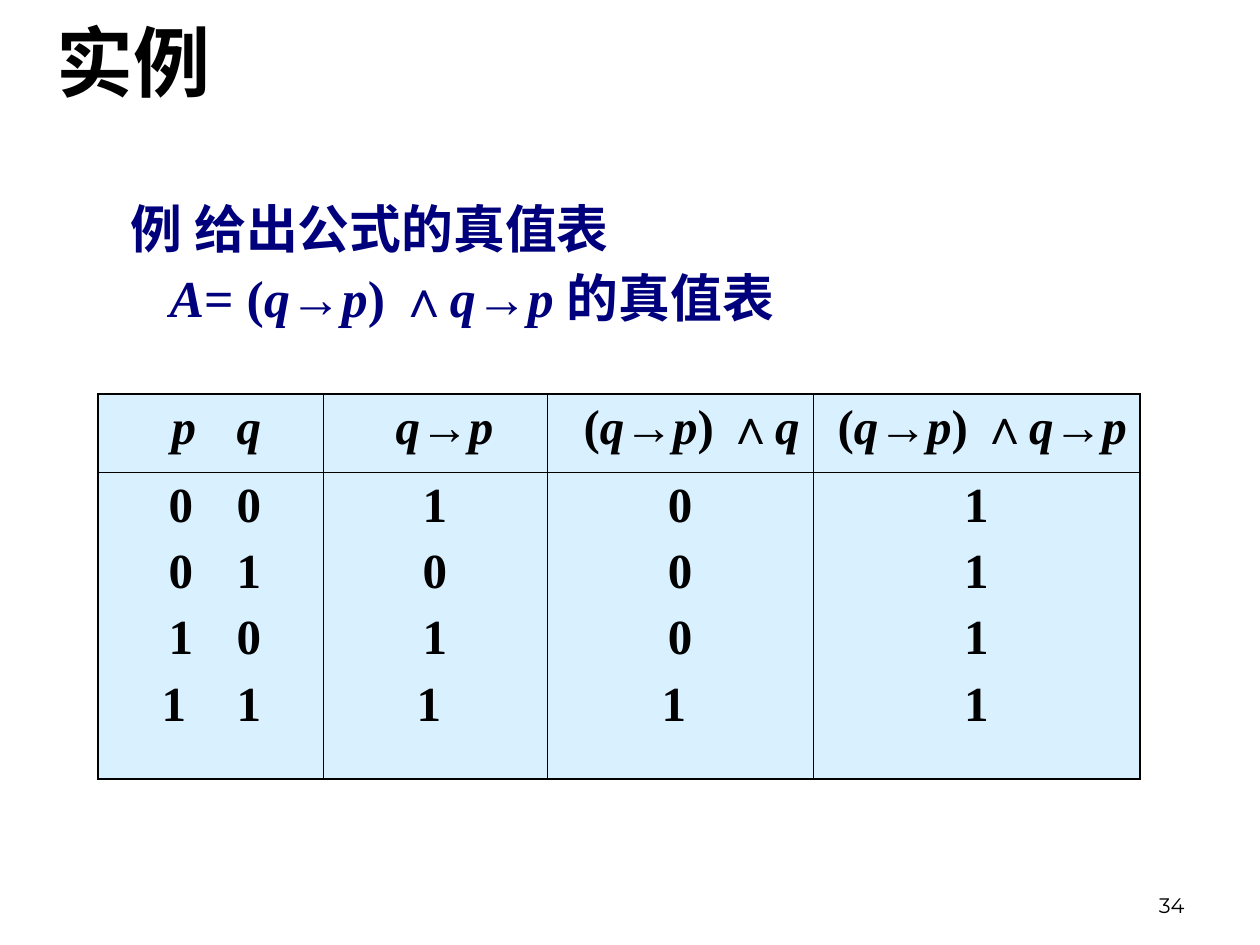
from itertools import groupby
from lxml.etree import SubElement
from pptx import Presentation
from pptx.dml.color import RGBColor
from pptx.enum.text import MSO_ANCHOR as Anchor, MSO_AUTO_SIZE as Fit, PP_ALIGN as Align
from pptx.oxml.ns import qn
from pptx.util import Pt

SCALE = 914400 / 126
BLACK = RGBColor(0, 0, 0)
NAVY = RGBColor(0, 0, 0x7D)
PALE = RGBColor(0xD9, 0xF1, 0xFF)
SERIF, SANS, HAN = "Times New Roman", "Arial", "Noto Sans CJK SC"

HEADS = [("p\tq", 61), ("q→p", 60), ("(q→p) ∧q", 24), ("(q→p) ∧q→p", 12)]
PAIRS = [("0\t0", 58), ("0\t1", 58), ("1\t0", 58), ("1\t1", 51)]
VALUES = [["1", "0", "1", "1 "], ["0", "0", "0", "1 "], ["1", "1", "1", "1"]]
GAP = 61  # from the first to the second variable


def px(num):
    return round(num * SCALE)


def kind(char):
    if char in "→∧":
        return "sign"
    return "var" if char.isascii() and char.isalpha() else "plain"


def write(frame, text, size=28, font=SERIF, color=BLACK, bold=True,
          align=Align.LEFT, before=0, line=None, left=0, start=0):
    """Add one paragraph; variables turn italic and signs sans."""
    para = frame.paragraphs[0]
    if para.runs:
        para = frame.add_paragraph()
    para.alignment = align
    para.space_before = Pt(before)
    if line:
        para.line_spacing = line
    props = para._p.get_or_add_pPr()
    props.set("marL", str(px(left)))
    props.set("indent", str(px(start - left)))
    SubElement(props, qn("a:buNone"))
    if "\t" in text:
        tabs = SubElement(props, qn("a:tabLst"))
        SubElement(tabs, qn("a:tab"), pos=str(px(start + GAP)), algn="l")
    for sort, chars in groupby(text, kind):
        run = para.add_run()
        run.text = "".join(chars)
        face = run.font
        face.size, face.bold, face.italic = Pt(size), bold, sort == "var"
        face.color.rgb = color
        face.name = SANS if sort == "sign" else font
        if sort != "sign":
            SubElement(run._r.get_or_add_rPr(), qn("a:ea"), typeface=HAN)


def place(shape, box, anchor):
    shape.left, shape.top, shape.width, shape.height = map(px, box)
    frame = shape.text_frame
    frame.word_wrap = True
    frame.auto_size = Fit.NONE
    frame.vertical_anchor = anchor
    return frame


def title(slide, box):
    frame = place(slide.shapes.title, box, Anchor.MIDDLE)
    write(frame, "实例", size=44, font=SANS)


def body(slide, box):
    frame = place(slide.placeholders[1], box, Anchor.TOP)
    style = dict(size=29.6, color=NAVY, line=0.9, left=48)
    write(frame, "例 给出公式的真值表", **style)
    write(frame, "A= (q→p) ∧q→p 的真值表", before=8, start=39, **style)


def border(cell, **widths):
    props = cell._tc.get_or_add_tcPr()
    for spot, (side, width) in enumerate(widths.items()):
        edge = SubElement(props, qn("a:" + side), w=str(Pt(width)))
        fill = SubElement(edge, qn("a:solidFill"))
        SubElement(fill, qn("a:srgbClr"), val=str(BLACK))
        props.insert(spot, edge)


def table(slide, box, cols, rows):
    grid = slide.shapes.add_table(len(rows), len(cols), *map(px, box)).table
    grid.first_row = grid.horz_banding = False
    for col, width in zip(grid.columns, cols):
        col.width = px(width)
    for row, height in zip(grid.rows, rows):
        row.height = px(height)
    # Headings
    for num, (text, start) in enumerate(HEADS):
        write(grid.cell(0, num).text_frame, text, start=start)
    # Truth values
    for num, (text, start) in enumerate(PAIRS):
        write(grid.cell(1, 0).text_frame, text, start=start, before=7 if num else 0)
    for col, values in enumerate(VALUES, 1):
        for num, text in enumerate(values):
            write(grid.cell(1, col).text_frame, text, align=Align.CENTER,
                  before=7 if num else 0)
    # Fill and rules, heavier on the outside
    thin, thick = 0.45, 1.08
    for row in range(len(rows)):
        for col in range(len(cols)):
            cell = grid.cell(row, col)
            cell.fill.solid()
            cell.fill.fore_color.rgb = PALE
            border(cell,
                   lnL=thick if col == 0 else thin,
                   lnR=thick if col == len(cols) - 1 else thin,
                   lnT=thick if row == 0 else thin,
                   lnB=thick if row == len(rows) - 1 else thin)


def number(slide, box):
    shape = slide.shapes.add_textbox(*map(px, box))
    frame = place(shape, box, Anchor.BOTTOM)
    write(frame, "34", size=12, font="Montserrat", bold=False, align=Align.RIGHT)


def main():
    deck = Presentation()
    deck.slide_width, deck.slide_height = px(1260), px(945)
    slide = deck.slides.add_slide(deck.slide_layouts[1])
    number(slide, (903, 861, 294, 63))
    title(slide, (44, 0, 291, 122))
    body(slide, (118, 197, 1004, 154))
    table(slide, (98, 394, 1042, 385), (225, 224, 266, 327), (78, 307))
    deck.save("out.pptx")


if __name__ == "__main__":
    main()
